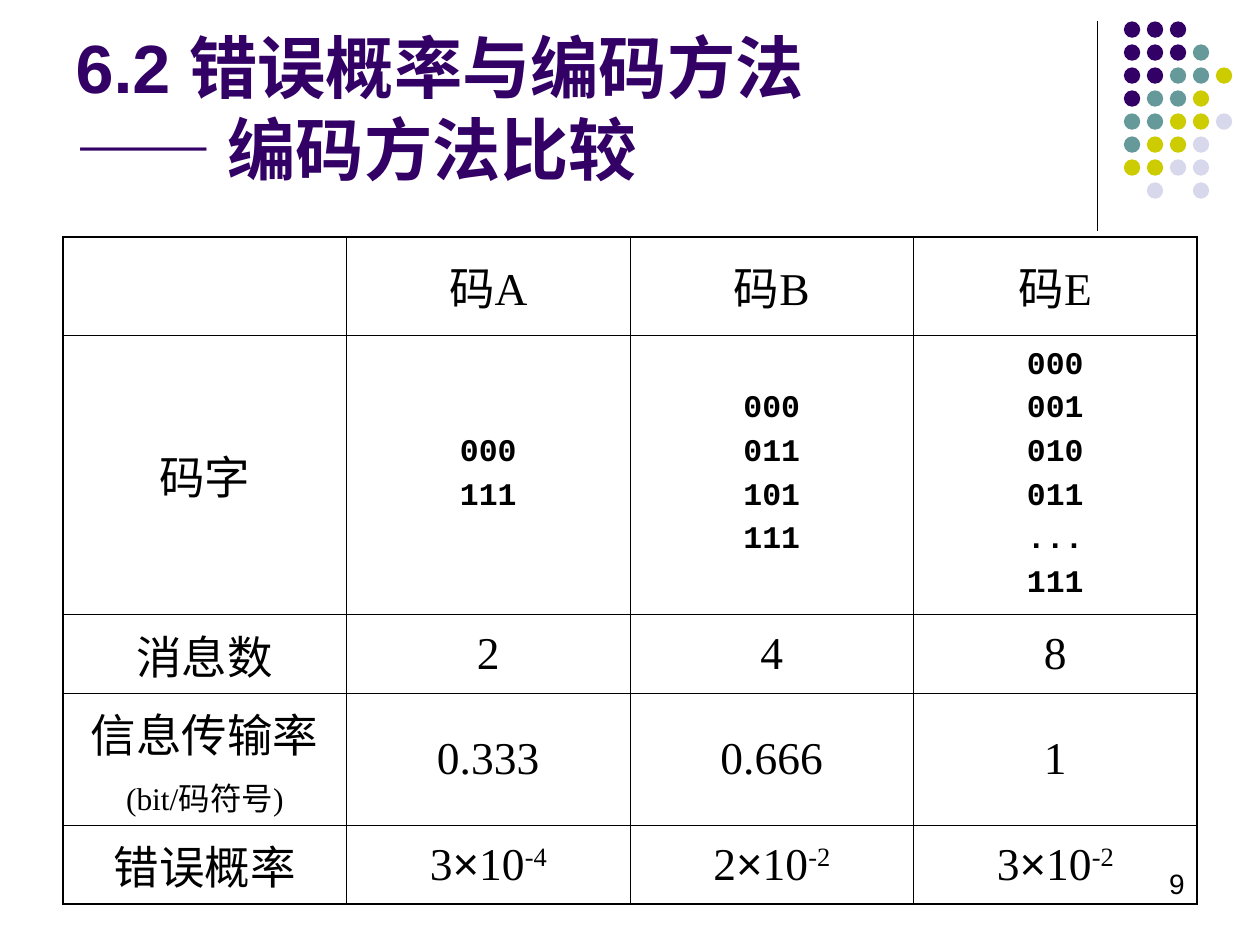
from lxml import etree
from pptx import Presentation
from pptx import util as u
from pptx.dml.color import RGBColor
from pptx.enum import shapes, text
from pptx.oxml import ns

COLORS = {"black": "000000", "purple": "330066", "teal": "669999",
          "yellow": "CCCC00", "lilac": "D8D8EC"}
DOT_COLORS = {"P": "purple", "T": "teal", "Y": "yellow", "L": "lilac"}
DOT_ROWS = ["PPP", "PPPT", "PPTTY", "PTTY", "TTYYL", "TYYL", "YYLL", " L L"]

TITLE = {"size": u.Pt(39), "name": "Arial", "bold": True}
NUMBER = {"size": u.Pt(16), "name": "Arial"}
BODY = {"size": u.Pt(26), "name": "Times New Roman", "bold": False}
UNIT = {**BODY, "size": u.Pt(18)}
CODE = {"size": u.Pt(18), "name": "Courier New", "bold": True}
TIMES = {**BODY, "name": "Arial"}


def body(label):
    return [[(label, BODY)]]


def codes(*words):
    return [[(word, CODE)] for word in words]


def power(factor, exponent):
    return [[(factor, BODY), ("×", TIMES), ("10", BODY), (exponent, {**BODY, "baseline": 30})]]


ROWS = [
    [[], body("码A"), body("码B"), body("码E")],
    [body("码字"), codes("000", "111"), codes("000", "011", "101", "111"),
     codes("000", "001", "010", "011", "...", "111")],
    [body("消息数"), body("2"), body("4"), body("8")],
    [body("信息传输率") + [[("(bit/码符号)", UNIT)]], body("0.333"), body("0.666"), body("1")],
    [body("错误概率"), power("3", "-4"), power("2", "-2"), power("3", "-2")],
]


class Deck:
    def __init__(self, colors):
        self.colors = colors
        self.prs = Presentation()
        self.prs.slide_width, self.prs.slide_height = u.Inches(10), u.Inches(7.5)
        self.s = self.prs.slides.add_slide(self.prs.slide_layouts[5])

    def rgb(self, color):
        return RGBColor.from_string(self.colors[color])

    def run(self, p, label, fmt, color="black"):
        r = p.add_run()
        r.text = label
        r.font.color.rgb = self.rgb(color)
        for key, value in fmt.items():
            if key == "baseline":
                r.font._element.set("baseline", str(value * 1000))
            else:
                setattr(r.font, key, value)

    def frame(self, tf, **fmt):
        values = {"word_wrap": True, "auto_size": text.MSO_AUTO_SIZE.NONE, **fmt}
        for key, value in values.items():
            setattr(tf, key, value)
        return tf.paragraphs[0]

    def title(self, box, lines):
        sp = self.s.shapes.title
        sp.left, sp.top, sp.width, sp.height = map(u.Inches, box)
        p = self.frame(sp.text_frame, vertical_anchor=text.MSO_ANCHOR.BOTTOM)
        p.alignment = text.PP_ALIGN.LEFT
        for i, line in enumerate(lines):
            if i:
                p.add_line_break()
            self.run(p, line, TITLE, "purple")

    def line(self, x1, y1, x2, y2, width):
        sp = self.s.shapes.add_connector(
            shapes.MSO_CONNECTOR.STRAIGHT, *map(u.Inches, (x1, y1, x2, y2)))
        sp.line.color.rgb = self.rgb("black")
        sp.line.width = u.Pt(width)
        etree.SubElement(sp._element.spPr, ns.qn("a:effectLst"))

    def dots(self, left, top, size, pitch, rows):
        group = self.s.shapes.add_group_shape()
        for i, row in enumerate(rows):
            for j, key in enumerate(row):
                if key == " ":
                    continue
                box = (left + j * pitch, top + i * pitch, size, size)
                sp = group.shapes.add_shape(shapes.MSO_SHAPE.OVAL, *map(u.Inches, box))
                sp.shadow.inherit = False
                sp.fill.solid()
                sp.fill.fore_color.rgb = self.rgb(DOT_COLORS[key])
                sp.line.fill.background()

    def number(self, box, label):
        sp = self.s.shapes.add_textbox(*map(u.Inches, box))
        p = self.frame(sp.text_frame)
        p.alignment = text.PP_ALIGN.RIGHT
        self.run(p, label, NUMBER)

    def borders(self, cell, widths):
        tcPr = cell._tc.get_or_add_tcPr()
        for side, width in widths.items():
            ln = etree.SubElement(tcPr, ns.qn("a:ln" + side), w=str(u.Pt(width)))
            fill = etree.SubElement(ln, ns.qn("a:solidFill"))
            etree.SubElement(fill, ns.qn("a:srgbClr"), val=self.colors["black"])

    def cell(self, cell, paragraphs):
        cell.vertical_anchor = text.MSO_ANCHOR.MIDDLE
        tf = cell.text_frame
        for i, runs in enumerate(paragraphs):
            p = tf.add_paragraph() if i else tf.paragraphs[0]
            p.alignment = text.PP_ALIGN.CENTER
            p.space_before = u.Pt(4.5 if i else 0)
            for label, fmt in runs:
                self.run(p, label, fmt)

    def table(self, box, heights, rows, inner, outer):
        n, m = len(rows), len(rows[0])
        tbl = self.s.shapes.add_table(n, m, *map(u.Inches, box)).table
        tbl.first_row = tbl.horz_banding = False
        for i, row in enumerate(rows):
            tbl.rows[i].height = u.Inches(heights[i])
            for j, paragraphs in enumerate(row):
                cell = tbl.cell(i, j)
                edges = {"L": j == 0, "R": j == m - 1, "T": i == 0, "B": i == n - 1}
                self.borders(cell, {k: outer if edge else inner for k, edge in edges.items()})
                cell.fill.background()
                self.cell(cell, paragraphs)


def main():
    deck = Deck(COLORS)
    deck.line(8.71, 0.17, 8.71, 1.83, 0.75)
    deck.dots(8.92, 0.17, 0.13, 0.73 / 4, DOT_ROWS)
    deck.number((7.17, 6.83, 2.33, 0.5), "9")
    deck.title((0.5, 0.13, 8.25, 1.42), ["6.2 错误概率与编码方法", "—— 编码方法比较"])
    deck.table((0.5, 1.88, 9, 4.98), [0.78, 2.22, 0.54, 0.9, 0.55], ROWS, 0.45, 1.08)
    deck.prs.save("out.pptx")


if __name__ == "__main__":
    main()
